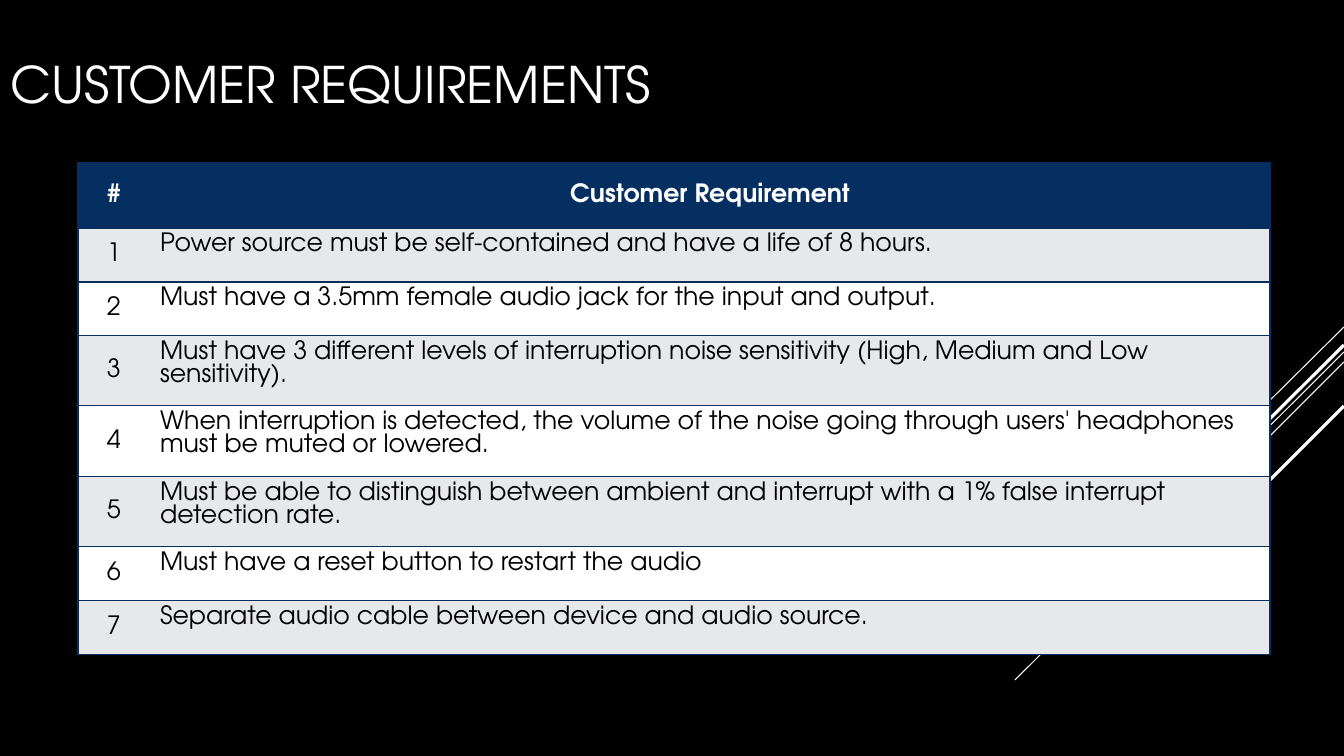
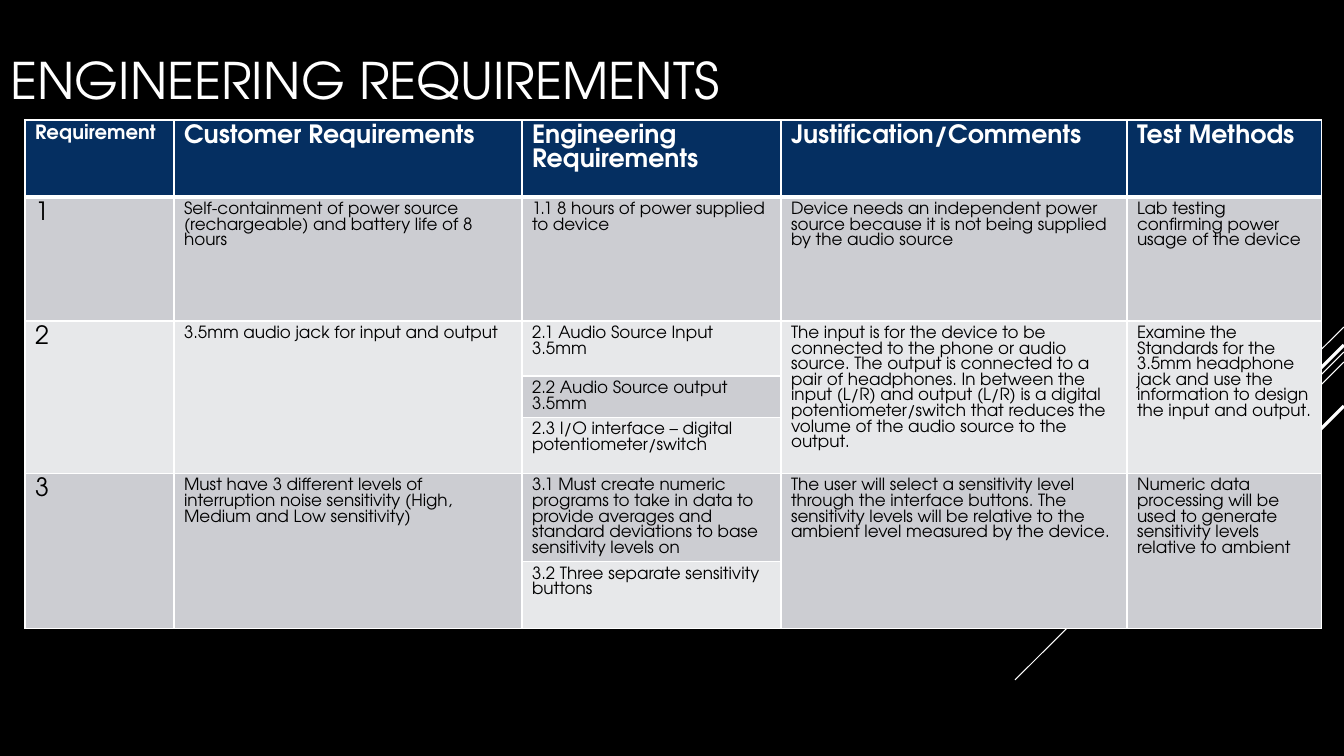
"""Build the customer and engineering requirement slides."""
from lxml import etree
from pptx import Presentation
from pptx import util as u
from pptx.dml.color import RGBColor
from pptx.enum import shapes, text
from pptx.oxml.ns import qn

PX = 914400 / 100.8
FONT = "TeX Gyre Adventor"
BLACK = RGBColor(0x00, 0x00, 0x00)
WHITE = RGBColor(0xFF, 0xFF, 0xFF)
NAVY = RGBColor(0x05, 0x2F, 0x61)
PALE = RGBColor(0xE7, 0xE8, 0xEA)
GREY = RGBColor(0xCC, 0xCD, 0xD2)

RAYS = [
    (327, 1243, 427, 0.75),
    (352, 1015, 680, 0.75),
    (362, 1135, 571, 0.75),
    (345, 1151, 537, 2.25),
    (406, 1204, 546, 2.25),
]

NEEDS = [
    "Customer Requirement",
    "Power source must be self-contained and have a life of 8 hours.",
    "Must have a 3.5mm female audio jack for the input and output.",
    "Must have 3 different levels of interruption noise sensitivity (High, Medium and Low sensitivity).",
    "When interruption is detected, the volume of the noise going through users' headphones must be muted or lowered.",
    "Must be able to distinguish between ambient and interrupt with a 1% false interrupt detection rate.",
    "Must have a reset button to restart the audio",
    "Separate audio cable between device and audio source.",
]

SPECS = [
    ["Requirement", "Customer Requirements", "Engineering Requirements",
     "Justification/Comments", "Test Methods"],
    ["1", "Self-containment of power source (rechargeable) and battery life of 8 hours",
     "1.1 8 hours of power supplied to device",
     "Device needs an independent power source because it is not being supplied by the audio source",
     "Lab testing confirming power usage of the device"],
    ["2", "3.5mm audio jack for input and output",
     "2.1 Audio Source Input 3.5mm",
     "The input is for the device to be connected to the phone or audio source. "
     "The output is connected to a pair of headphones. In between the input (L/R) "
     "and output (L/R) is a digital potentiometer/switch that reduces the volume "
     "of the audio source to the output.",
     "Examine the Standards for the 3.5mm headphone jack and use the information "
     "to design the input and output."],
    ["", "", "2.2 Audio Source output 3.5mm", "", ""],
    ["", "", "2.3 I/O interface – digital potentiometer/switch", "", ""],
    ["3", "Must have 3 different levels of interruption noise sensitivity "
     "(High, Medium and Low sensitivity)",
     "3.1 Must create numeric programs to take in data to provide averages and "
     "standard deviations to base sensitivity levels on",
     "The user will select a sensitivity level through the interface buttons. "
     "The sensitivity levels will be relative to the ambient level measured by the device.",
     "Numeric data processing will be used to generate sensitivity levels relative to ambient"],
    ["", "", "3.2 Three separate sensitivity buttons", "", ""],
]

PAGES = [
    dict(title="CUSTOMER REQUIREMENTS", top=0, at=(78, 163),
         cols=[72, 1120], rows=[65, 54, 54, 70, 71, 70, 54, 54],
         data=[["#" if i == 0 else str(i), need] for i, need in enumerate(NEEDS)],
         bands=(WHITE, PALE), edge=NAVY, grid=False, small=18, spans=[]),
    dict(title="ENGINEERING REQUIREMENTS", top=-4, at=(25, 120),
         cols=[149, 348, 259, 346, 195], rows=[77, 124, 55, 41, 56, 88, 67],
         data=SPECS, bands=(PALE, GREY), edge=WHITE, grid=True, small=12,
         spans=[(2, 4), (5, 6)]),
]


def px(n):
    return u.Emu(round(n * PX))


def border(cell, side, color, width):
    props = cell._tc.get_or_add_tcPr()
    line = etree.SubElement(props, qn("a:ln" + side), w=str(u.Pt(width)))
    if color is None:
        etree.SubElement(line, qn("a:noFill"))
    else:
        fill = etree.SubElement(line, qn("a:solidFill"))
        etree.SubElement(fill, qn("a:srgbClr"), val=str(color))


prs = Presentation()
prs.slide_width, prs.slide_height = px(1344), px(756)
back = prs.slide_master.background.fill
back.solid()
back.fore_color.rgb = BLACK

for page in PAGES:
    slide = prs.slides.add_slide(prs.slide_layouts[5])

    for start, x, y, width in RAYS:
        ray = slide.shapes.add_connector(
            shapes.MSO_CONNECTOR.STRAIGHT, px(1344), px(start), px(x), px(y))
        ray.line.color.rgb = WHITE
        ray.line.width = u.Pt(width)
        etree.SubElement(ray._element.spPr, qn("a:effectLst"))

    title = slide.shapes.title
    title.left, title.top = px(0), px(page["top"])
    title.width, title.height = px(940), px(166)
    title.text_frame.text = page["title"]
    title.text_frame.vertical_anchor = text.MSO_ANCHOR.MIDDLE
    para = title.text_frame.paragraphs[0]
    para.alignment = text.PP_ALIGN.LEFT
    para.font.name, para.font.size = FONT, u.Pt(36)
    para.font.color.rgb = WHITE

    cols, rows, grid = page["cols"], page["rows"], page["grid"]
    left, top = page["at"]
    table = slide.shapes.add_table(
        len(rows), len(cols), px(left), px(top), px(sum(cols)), px(sum(rows))).table
    for col, width in zip(table.columns, cols):
        col.width = px(width)
    for row, height in zip(table.rows, rows):
        row.height = px(height)

    for r, line in enumerate(page["data"]):
        for c, words in enumerate(line):
            cell = table.cell(r, c)
            head, first, last = r == 0, c == 0, c == len(cols) - 1
            edge = page["edge"]
            border(cell, "L", edge if grid or first else None, 1)
            border(cell, "R", edge if grid or last else None, 1)
            border(cell, "T", edge, 3 if grid and r == 1 else 1)
            border(cell, "B", edge, 3 if grid and head else 1)
            cell.fill.solid()
            cell.fill.fore_color.rgb = NAVY if head else page["bands"][r % 2]

            size = 18 if head or (first and words) else page["small"]
            if grid and head and first:
                size = 14
            cell.text = words
            para = cell.text_frame.paragraphs[0]
            para.line_spacing = u.Pt(size * 0.93)
            if not grid and (head or first):
                para.alignment = text.PP_ALIGN.CENTER
                cell.vertical_anchor = text.MSO_ANCHOR.MIDDLE
            para.font.name, para.font.size = FONT, u.Pt(size)
            para.font.bold = head
            para.font.color.rgb = WHITE if head else BLACK

    for start, end in page["spans"]:
        for c in (0, 1, 3, 4):
            table.cell(start, c).merge(table.cell(end, c))

prs.save("out.pptx")
